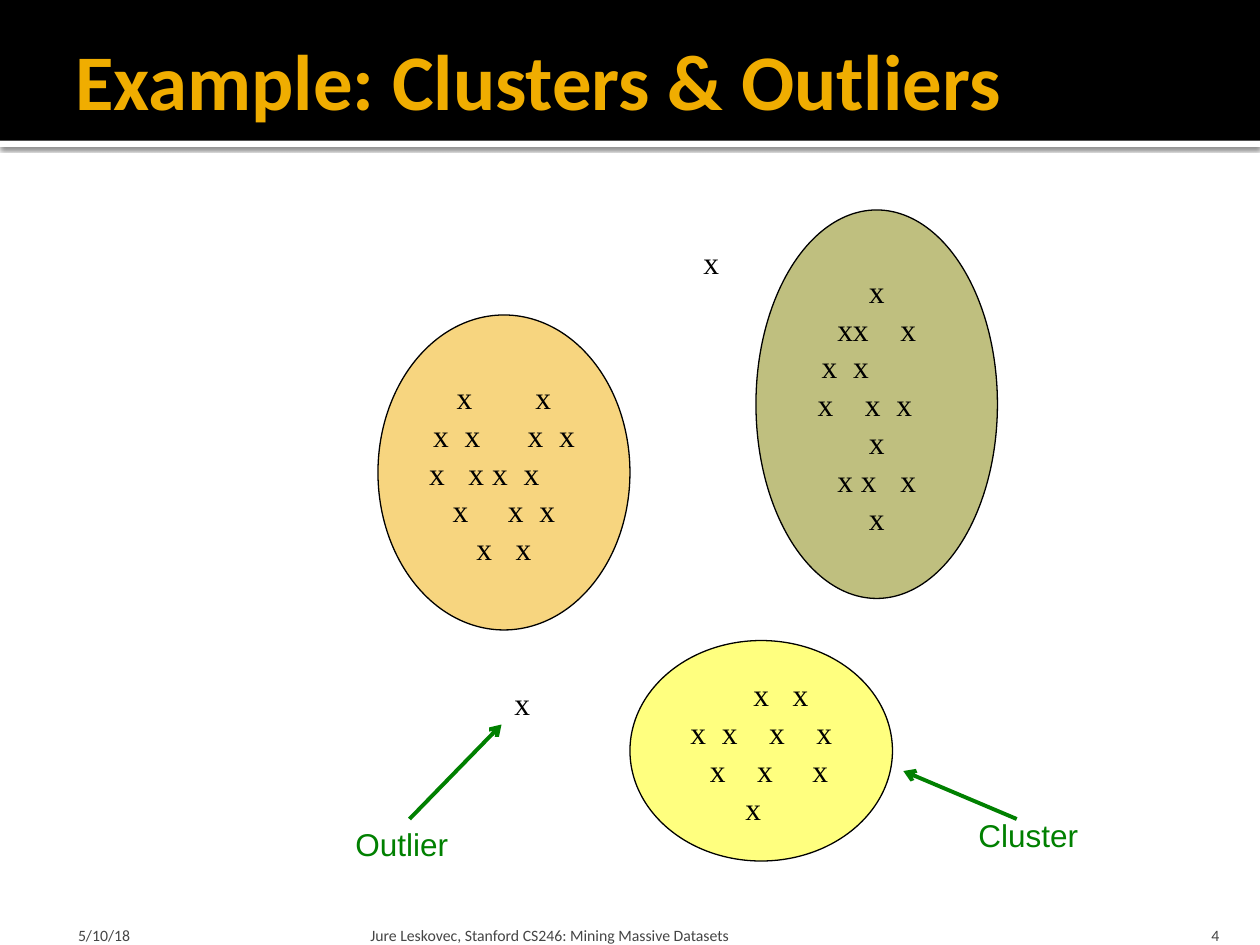
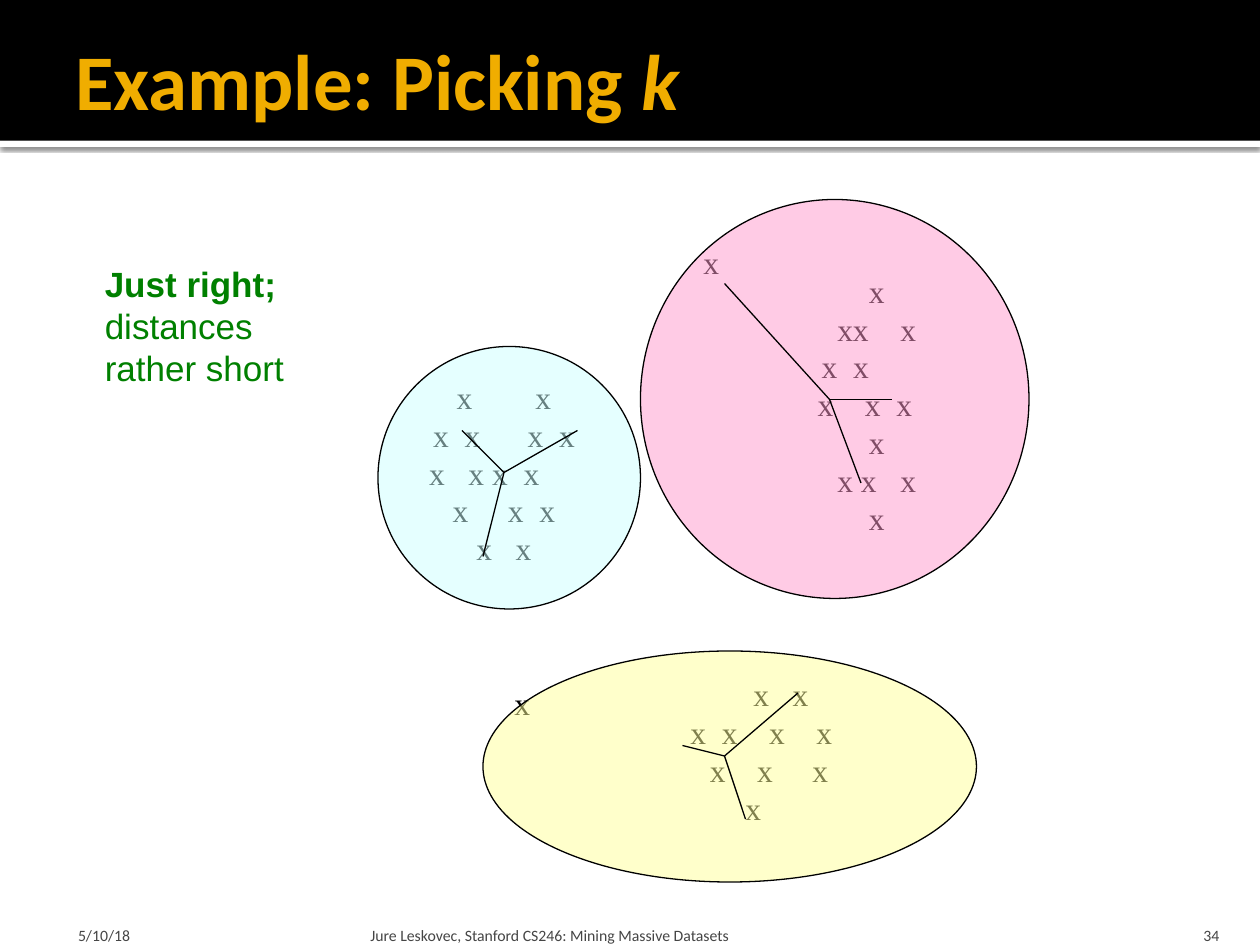
from lxml.etree import SubElement
from pptx import Presentation
from pptx.dml.color import RGBColor
from pptx.enum.shapes import MSO_CONNECTOR as LINE, MSO_SHAPE as SHAPE
from pptx.enum.text import MSO_ANCHOR as ANCHOR, PP_ALIGN as ALIGN
from pptx.oxml.ns import qn
from pptx.util import Pt

rgb = RGBColor.from_string
GOLD, GREEN, BLACK, WHITE, GREY = "F0AD00", "008000", "000000", "FFFFFF", "454545"
SERIF, SANS, TITLE_FONT = "Times New Roman", "Arial", "Calibri"


def write(paragraph, text, font=SANS, size=18, color=BLACK, bold=False,
          italic=False, align=ALIGN.LEFT):
    run = paragraph.add_run()
    run.text = text
    run.font.name, run.font.size = font, Pt(size)
    run.font.bold, run.font.italic = bold, italic
    run.font.color.rgb = rgb(color)
    paragraph.alignment = align


def text_area(slide, box, insets=(7.2, 3.6, 7.2, 3.6), anchor=ANCHOR.TOP):
    frame = slide.shapes.add_textbox(*map(Pt, box)).text_frame
    frame.word_wrap = True
    frame.vertical_anchor = anchor
    (frame.margin_left, frame.margin_top,
     frame.margin_right, frame.margin_bottom) = map(Pt, insets)
    return frame


# Data points: left edge of each x, in half letters from the cluster's centre
HALF_LETTER = 4.5
left_rows = [[-6, 4], [-9, -5, 3, 7], [-9.5, -4.5, -1.5, 2.5],
             [-6.5, 0.5, 4.5], [-3.5, 1.5]]
right_rows = [[-1], [-5, -3, 3], [-7, -3], [-7.5, -1.5, 2.5],
              [-1], [-5, -2, 3], [-1]]
lower_rows = [[-1, 4], [-9, -5, 1, 7], [-6.5, -0.5, 6.5], [-2]]
clusters = [((216, 180, 144, 180), GOLD, left_rows),
            ((432, 120, 138, 222), "808000", right_rows),
            ((360, 366, 150, 126), "FFFF00", lower_rows)]
outliers = [(394.8, 135.4), (286.8, 387.4)]

# Groups found with the right k, and spokes from each centroid
groups = [((276, 372, 282, 132), "FFFF99", []),
          ((216, 198, 150, 150), "CCFFFF", []),
          ((366, 114, 222, 228), "FF99CC", [])]
spokes = {(288, 270): [(264, 246), (330, 246), (276, 318)],
          (414, 432): [(390, 426), (456, 396), (426, 468)],
          (474, 228.2): [(414, 162), (510, 228.2), (492, 276)]}
pointers = [((234, 468), (286.6, 414)), ((581, 468), (516.2, 440.6))]

bare_clusters = [(box, None, rows) for box, _, rows in clusters]
spoke_lines = [(centre, end) for centre, ends in spokes.items() for end in ends]
pages = [
    ([("Example: Clusters & Outliers", False)], "4", clusters,
     pointers, GREEN, 2.25),
    ([("Example: Picking ", False), ("k", True)], "34", bare_clusters + groups,
     spoke_lines, BLACK, 0.75),
]

deck = Presentation()
deck.slide_width, deck.slide_height = Pt(720), Pt(540)
slides = []

for title, number, ovals, lines, line_color, line_width in pages:
    slide = deck.slides.add_slide(deck.slide_layouts[6])
    slides.append(slide)

    # Header band with a shadowed white strip under it
    for top, height, color in [(80.4, 3.6, WHITE), (0, 80.4, BLACK)]:
        band = slide.shapes.add_shape(SHAPE.RECTANGLE, 0, Pt(top), Pt(720), Pt(height))
        band.shadow.inherit = False
        band.fill.solid()
        band.fill.fore_color.rgb = rgb(color)
        band.line.fill.background()
        if color == WHITE:
            effects = band.element.spPr.find(qn("a:effectLst"))
            shadow = SubElement(effects, qn("a:outerShdw"), blurRad=str(Pt(2.5)),
                                dist=str(Pt(0.8)), dir="5400000", rotWithShape="0")
            tint = SubElement(shadow, qn("a:srgbClr"), val=BLACK)
            SubElement(tint, qn("a:alpha"), val="60000")

    # Title
    heading = text_area(slide, (36, 12.2, 648, 66.2), (7.2, 3.6, 3.6, 3.6), ANCHOR.MIDDLE)
    for text, italic in title:
        write(heading.paragraphs[0], text, font=TITLE_FONT, size=45, color=GOLD,
              bold=True, italic=italic)

    # Footer
    for text, left, width, inset, align in [
            ("5/10/18", 36, 168, 8.6, ALIGN.LEFT),
            ("Jure Leskovec, Stanford CS246: Mining Massive Datasets",
             208, 433.4, 3.6, ALIGN.LEFT),
            (number, 646.2, 57.6, 7.2, ALIGN.RIGHT)]:
        footer = text_area(slide, (left, 518.4, width, 21.6),
                           (inset, 3.6, 7.2, 0), ANCHOR.BOTTOM)
        write(footer.paragraphs[0], text, font=TITLE_FONT, size=9, color=GREY, align=align)

    # Outlying points
    for left, top in outliers:
        outlier = text_area(slide, (left, top, 26.6, 36))
        write(outlier.paragraphs[0], "x", font=SERIF)

    # Clusters and groups
    for box, color, rows in ovals:
        oval = slide.shapes.add_shape(SHAPE.OVAL, *map(Pt, box))
        oval.shadow.inherit = False
        if color:
            oval.fill.solid()
            oval.fill.fore_color.rgb = rgb(color)
            tint = oval.element.spPr.find(qn("a:solidFill"))[0]
            SubElement(tint, qn("a:alpha"), val="50000")
            oval.line.color.rgb = rgb(BLACK)
            oval.line.width = Pt(0.75)
        else:
            oval.fill.background()
            oval.line.fill.background()

        points = oval.text_frame
        points.word_wrap = True
        points.vertical_anchor = ANCHOR.MIDDLE
        points.margin_left = points.margin_right = 0
        points.margin_top = points.margin_bottom = 0
        centre = box[2] / 8 ** 0.5  # half the width of an oval's text area
        for index, row in enumerate(rows):
            line = points.add_paragraph() if index else points.paragraphs[0]
            tabs = SubElement(line._p.get_or_add_pPr(), qn("a:tabLst"))
            text, letter_end = "", None
            for offset in row:
                gap = None if letter_end is None else offset - letter_end
                if gap == 1:  # one space is half a letter wide
                    text += " "
                elif gap != 0:
                    stop = Pt(centre + offset * HALF_LETTER)
                    SubElement(tabs, qn("a:tab"), pos=str(stop), algn="l")
                    text += "\t"
                text += "x"
                letter_end = offset + 2
            write(line, text, font=SERIF)

    # Pointers or spokes
    for start, end in lines:
        stroke = slide.shapes.add_connector(LINE.STRAIGHT, *map(Pt, start + end))
        stroke.line.color.rgb = rgb(line_color)
        stroke.line.width = Pt(line_width)
        if lines is pointers:
            SubElement(stroke.line._get_or_add_ln(), qn("a:tailEnd"), type="arrow")
        SubElement(stroke.element.spPr, qn("a:effectLst"))

# Labels of the pointers
for text, left, top in [("Outlier", 196, 468), ("Cluster", 552, 463)]:
    label = text_area(slides[0], (left, top, 76, 28.8))
    write(label.paragraphs[0], text, color=GREEN)

# Verdict on k
verdict = text_area(slides[1], (52.8, 146.4, 122, 79.9))
write(verdict.paragraphs[0], "Just right;", size=20, color=GREEN, bold=True)
for text in ["distances", "rather short"]:
    write(verdict.add_paragraph(), text, size=20, color=GREEN)

deck.save("out.pptx")
